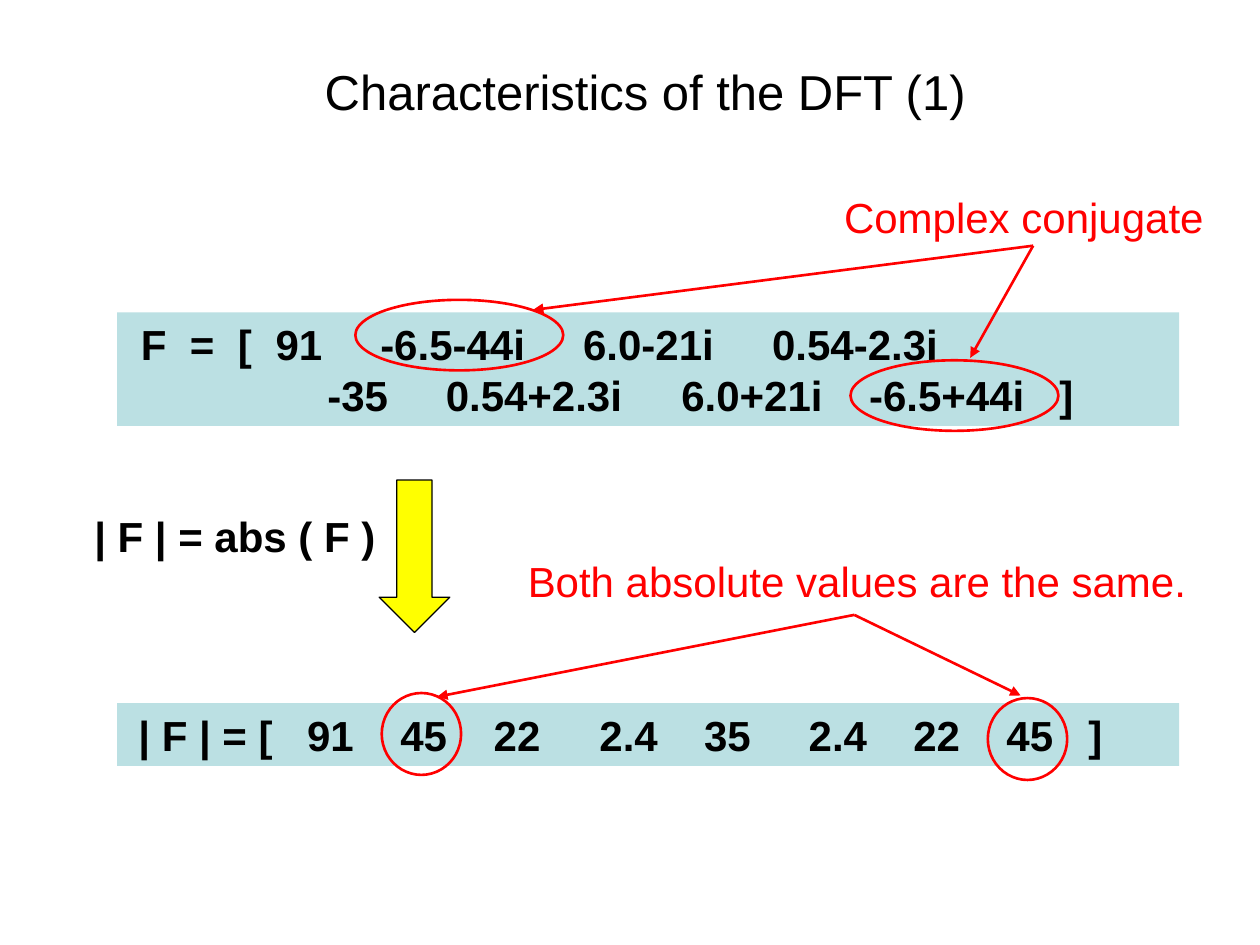
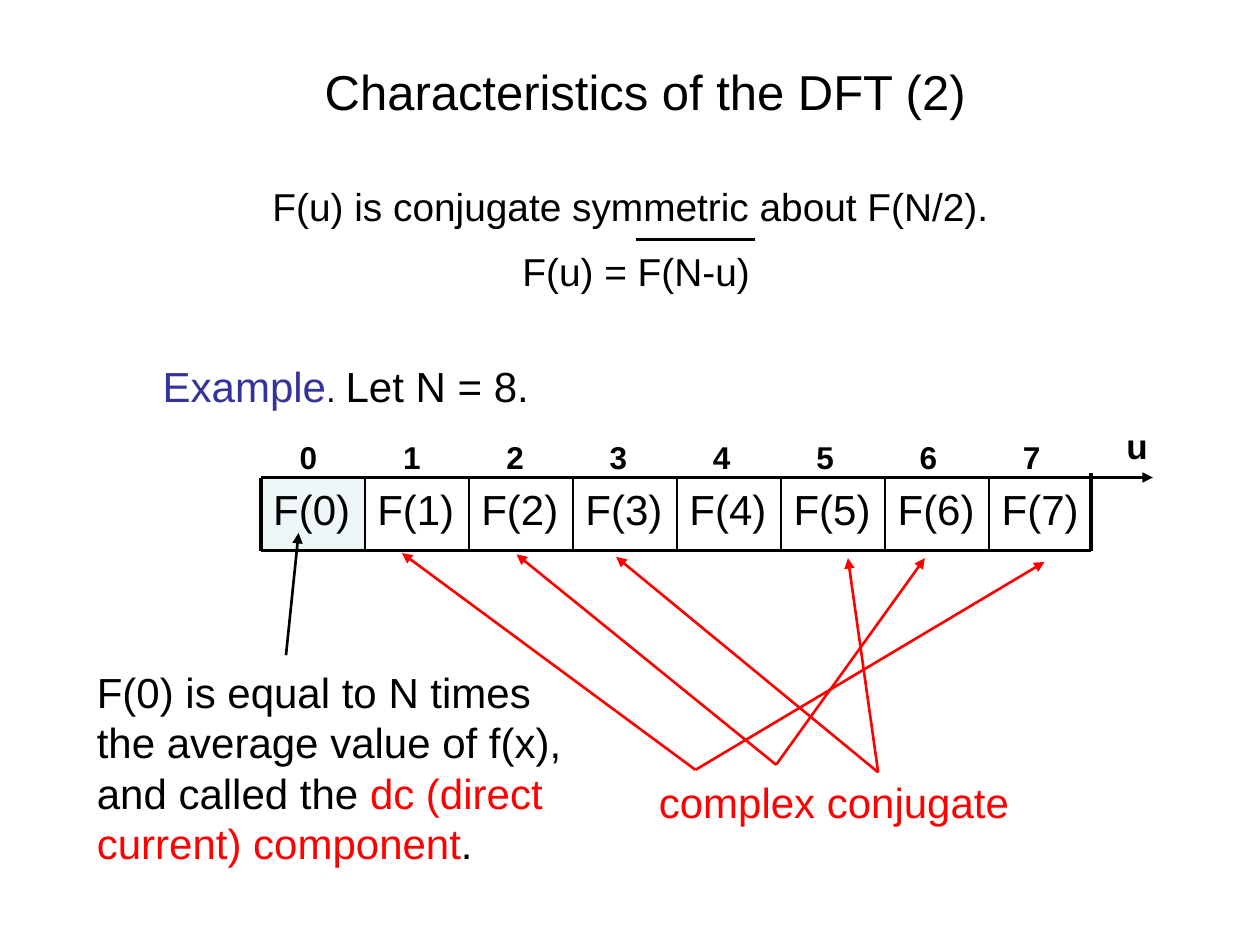
from dataclasses import dataclass
from lxml import etree
from pptx import Presentation
from pptx.dml.color import RGBColor
from pptx.enum.shapes import MSO_CONNECTOR, MSO_SHAPE
from pptx.enum.text import MSO_ANCHOR, MSO_AUTO_SIZE, PP_ALIGN
from pptx.oxml.ns import qn
from pptx.util import Inches, Pt

STRAIGHT = MSO_CONNECTOR.STRAIGHT
RECT, ELLIPSE, DOWN_ARROW = MSO_SHAPE.RECTANGLE, MSO_SHAPE.OVAL, MSO_SHAPE.DOWN_ARROW
LEFT, CENTER = PP_ALIGN.LEFT, PP_ALIGN.CENTER
TOP, MIDDLE = MSO_ANCHOR.TOP, MSO_ANCHOR.MIDDLE


@dataclass(frozen=True)
class Theme:
    font: str = "Arial"
    black: RGBColor = RGBColor(0, 0, 0)
    white: RGBColor = RGBColor(255, 255, 255)
    red: RGBColor = RGBColor(255, 0, 0)
    yellow: RGBColor = RGBColor(255, 255, 0)
    indigo: RGBColor = RGBColor(0x33, 0x33, 0x99)
    band: RGBColor = RGBColor(0xBB, 0xE0, 0xE3)
    title: float = 28
    body: float = 24
    formula: float = 22.2
    small: float = 20
    index: float = 18
    thin: float = 1
    medium: float = 1.5
    thick: float = 2.25


T = Theme()


def add_text(s, box, lines, size=T.body, color=T.black, bold=False,
             align=LEFT, fill=None, stops=()):
    """Text box; each line is a list of (text, color) runs or a string.
    stops holds one list of tab positions per line, in inches."""
    sp = s.shapes.add_textbox(*map(Inches, box))
    if fill is not None:
        sp.fill.solid()
        sp.fill.fore_color.rgb = fill
    tf = sp.text_frame
    tf.word_wrap = True
    for i, runs in enumerate(lines):
        p = tf.paragraphs[0] if i == 0 else tf.add_paragraph()
        p.alignment = align
        if stops:
            tabs = etree.SubElement(p._p.get_or_add_pPr(), qn("a:tabLst"))
            for x in stops[i]:
                etree.SubElement(tabs, qn("a:tab"), pos=str(Inches(x)), algn="l")
        p.font.name, p.font.size, p.font.bold = T.font, Pt(size), bold
        p.font.color.rgb = color
        if isinstance(runs, str):
            p.text = runs
        else:
            for text, run_color in runs:
                r = p.add_run()
                r.text = text
                r.font.color.rgb = run_color
    return tf


def add_line(s, start, end, color=T.black, width=T.medium, arrow=False):
    c = s.shapes.add_connector(STRAIGHT, *map(Inches, (*start, *end)))
    c.line.color.rgb = color
    c.line.width = Pt(width)
    if arrow:
        etree.SubElement(c.line._get_or_add_ln(), qn("a:tailEnd"), type="triangle")
    etree.SubElement(c._element.spPr, qn("a:effectLst"))


prs = Presentation()
prs.slide_width, prs.slide_height = Inches(10), Inches(7.5)

# Both slides: title
slides = []
for number in (1, 2):
    s = prs.slides.add_slide(prs.slide_layouts[5])
    title = s.shapes.title
    title.left, title.top, title.width, title.height = map(Inches, (0.62, 0.44, 9, 0.69))
    tf = title.text_frame
    tf.text = f"Characteristics of the DFT ({number})"
    tf.vertical_anchor, tf.auto_size = TOP, MSO_AUTO_SIZE.NONE
    p = tf.paragraphs[0]
    p.alignment = CENTER
    p.font.name, p.font.size = T.font, Pt(T.title)
    p.font.color.rgb = T.black
    slides.append(s)

# Slide 1: step from F to its absolute values
s = slides[0]
sp = s.shapes.add_shape(DOWN_ARROW, *map(Inches, (3.01, 3.81, 0.56, 1.21)))
sp.shadow.inherit = False
sp.fill.solid()
sp.fill.fore_color.rgb = T.yellow
sp.line.color.rgb = T.black
sp.line.width = Pt(0.75)
add_text(s, (0.65, 4, 2.57, 0.5), ["| F | = abs ( F )"], bold=True)

# Bands of values, set on tab stops
add_text(s, (0.93, 2.48, 8.43, 0.9),
         ["\tF\t=\t[\t91\t-6.5-44i\t6.0-21i\t0.54-2.3i",
          "\t-35\t0.54+2.3i\t6.0+21i\t-6.5+44i\t]"],
         bold=True, fill=T.band,
         stops=[[0.09, 0.48, 0.86, 1.16, 1.99, 3.6, 5.1],
                [1.57, 2.51, 4.38, 5.87, 7.38]])
add_text(s, (0.93, 5.58, 8.43, 0.5),
         ["\t| F | = [\t91\t45\t22\t2.4\t35\t2.4\t22\t45\t]"],
         bold=True, fill=T.band,
         stops=[[0.07, 1.41, 2.15, 2.89, 3.73, 4.56, 5.39, 6.22, 6.96, 7.61]])

# Rings round the paired values
for box in ((2.82, 2.38, 1.65, 0.56), (6.75, 2.86, 1.65, 0.56),
            (3.03, 5.5, 0.63, 0.65), (7.84, 5.54, 0.63, 0.65)):
    sp = s.shapes.add_shape(ELLIPSE, *map(Inches, box))
    sp.shadow.inherit = False
    sp.fill.background()
    sp.line.color.rgb = T.red
    sp.line.width = Pt(T.medium)

# Remarks and their arrows
for box, remark, start, ends in (
        ((6.6, 1.47, 3.19, 0.5), "Complex conjugate",
         (8.2, 1.95), ((4.23, 2.46), (7.7, 2.84))),
        ((4.09, 4.36, 5.75, 0.5), "Both absolute values are the same.",
         (6.78, 4.88), ((3.47, 5.53), (8.1, 5.52)))):
    add_text(s, box, [remark], color=T.red)
    for end in ends:
        add_line(s, start, end, T.red, arrow=True)

# Slide 2: symmetry rule, with the conjugate bar
s = slides[1]
tf = add_text(s, (0.76, 1.25, 8.58, 1.14),
              ["F(u) is conjugate symmetric about F(N/2). \vF(u) = F(N-u)"],
              size=T.formula, align=CENTER)
tf.vertical_anchor = MIDDLE
tf.paragraphs[0].line_spacing = 1.4
add_line(s, (5.05, 1.9), (5.99, 1.9))

# Example heading
tf = add_text(s, (0.86, 2.81, 3.77, 0.5),
              [[("Example", T.indigo), (". ", T.black), ("Let N = 8.", T.black)]],
              align=CENTER, fill=T.white)
tf.paragraphs[0].runs[1].font.size = Pt(T.small)

# Row of eight coefficients
N, x0, pitch, top, bottom = 8, 2.07, 0.826, 3.79, 4.37
right = 8.66
sp = s.shapes.add_shape(RECT, *map(Inches, (x0, top, pitch, bottom - top)))
sp.shadow.inherit = False
sp.fill.solid()
sp.fill.fore_color.rgb = T.band
sp.line.fill.background()
tint = sp._element.spPr.find(".//" + qn("a:srgbClr"))
etree.SubElement(tint, qn("a:alpha"), val="25000")

for k in range(N):
    x = x0 + k * pitch
    add_text(s, (x, top, 0.83, 0.57), [f"F({k})"])
    add_line(s, (x, top), (x, bottom), width=T.thin if k else T.thick)
add_line(s, (right, 3.75), (right, bottom), width=T.thick)
add_line(s, (x0, top), (right, top), width=T.thick)
add_line(s, (x0, bottom), (right, bottom))

# Index axis
add_text(s, (1.99, 3.43, 6.69, 0.4), ["\t" + "\t".join(map(str, range(N)))],
         size=T.index, bold=True, stops=[[0.29 + 0.82 * k for k in range(N)]])
add_line(s, (x0, top), (9.15, top), arrow=True)
add_text(s, (8.71, 3.32, 0.63, 0.44), ["u"], size=T.small, bold=True, align=CENTER)

# Conjugate pairs
add_text(s, (5.13, 6.11, 3.48, 0.5), ["complex conjugate"], color=T.red, fill=T.white)
for start, ends in (((5.52, 6.11), ((3.19, 4.39), (8.29, 4.46))),
                    ((6.16, 6.07), ((4.1, 4.4), (7.34, 4.43))),
                    ((6.97, 6.13), ((4.89, 4.42), (6.73, 4.43)))):
    for end in ends:
        add_line(s, start, end, T.red, arrow=True)

# Remark on F(0)
add_line(s, (2.27, 5.2), (2.37, 4.23), arrow=True)
add_text(s, (0.67, 5.24, 3.89, 1.7),
         [[("F(0) is equal to N times the average value of f(x), and called the ", T.black),
           ("dc (direct current) component", T.red), (".", T.black)]])

prs.save("out.pptx")
